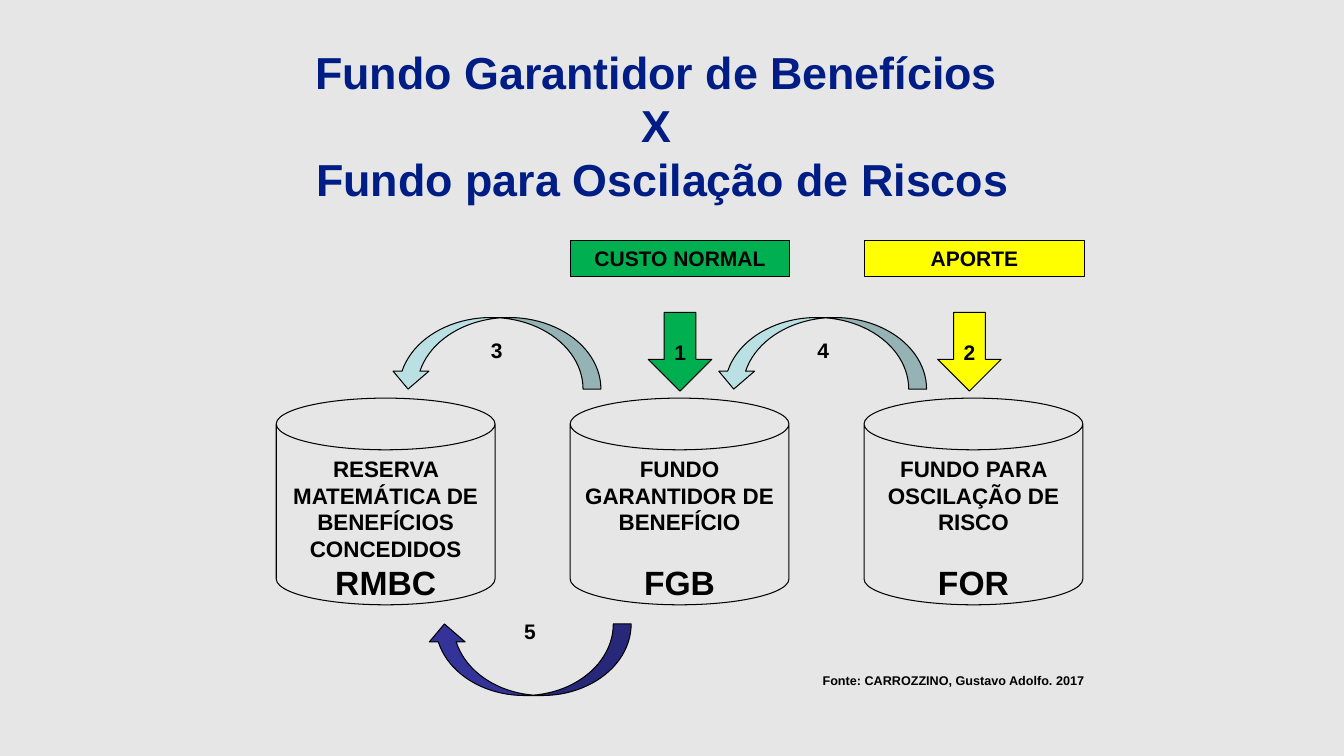
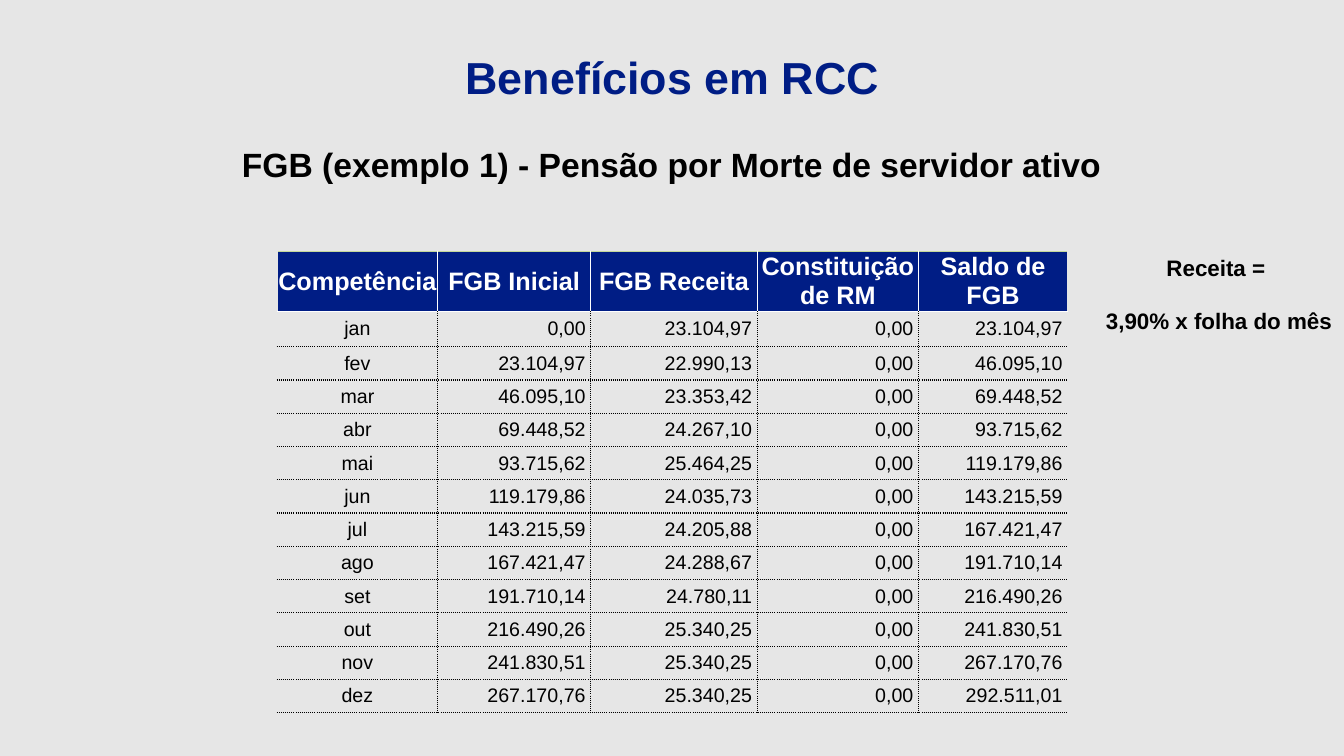
"""Build two slides on pension guarantee funds: a flow diagram and a monthly table."""
from dataclasses import dataclass
from typing import Optional

import lxml.etree
import pptx
import pptx.dml.color
import pptx.enum.shapes
import pptx.enum.text
import pptx.oxml.ns
import pptx.shapes.autoshape
import pptx.slide
import pptx.table
import pptx.text.text
import pptx.util

Inches = pptx.util.Inches
Pt = pptx.util.Pt
RGBColor = pptx.dml.color.RGBColor
Shape = pptx.enum.shapes.MSO_SHAPE
Align = pptx.enum.text.PP_ALIGN
Anchor = pptx.enum.text.MSO_ANCHOR
AutoSize = pptx.enum.text.MSO_AUTO_SIZE

FONT = "Arial"
GREY = RGBColor(0xE6, 0xE6, 0xE6)
NAVY = RGBColor(0x00, 0x1D, 0x85)
BLACK = RGBColor(0x00, 0x00, 0x00)
WHITE = RGBColor(0xFF, 0xFF, 0xFF)
GREEN = RGBColor(0x00, 0xB0, 0x50)
YELLOW = RGBColor(0xFF, 0xFF, 0x00)
PALE_TEAL = RGBColor(0xBB, 0xE0, 0xE3)
INDIGO = RGBColor(0x33, 0x33, 0x99)
LIME = RGBColor(0xC4, 0xD7, 0x9B)

BLANK_LAYOUT = 6
PLAIN_TABLE_STYLE = "{2D5ABB26-0587-4C30-8999-92F81FD0307C}"
FUND_LEFT, FUND_STEP, FUND_WIDTH = 2.74, 2.915, 2.17


@dataclass(frozen=True)
class Area:
    """A rectangle on the slide, in inches."""
    left: float
    top: float
    width: float
    height: float

    def lengths(self) -> tuple[pptx.util.Length, ...]:
        """Return the four sides as lengths."""
        return tuple(Inches(side) for side in (self.left, self.top, self.width, self.height))


@dataclass(frozen=True)
class Line:
    """A paragraph of bold centred text."""
    text: str
    size: float
    color: RGBColor = BLACK
    gap: float = 0


@dataclass(frozen=True)
class Fund:
    """A cylinder with its name and initials."""
    name: str
    initials: str
    gap: float = 0


@dataclass(frozen=True)
class Figure:
    """A filled and outlined preset shape."""
    kind: Shape
    area: Area
    fill: Optional[RGBColor] = None
    lines: tuple[Line, ...] = ()
    flipped: bool = False
    rotation: float = 0


@dataclass(frozen=True)
class Border:
    """One side of a table cell."""
    color: RGBColor
    width: float
    dash: str = "solid"


OUTER = Border(GREY, 1)
DOTTED = Border(BLACK, 1, "sysDot")
HEADER_EDGE = Border(WHITE, 0.5)
HEADER_TOP = Border(LIME, 0.5)

FUNDS = (
    Fund("RESERVA MATEMÁTICA DE BENEFÍCIOS CONCEDIDOS", "RMBC"),
    Fund("FUNDO GARANTIDOR DE BENEFÍCIO", "FGB", 19),
    Fund("FUNDO PARA OSCILAÇÃO DE RISCO", "FOR", 19),
)
FIGURES = (
    Figure(Shape.RECTANGLE, Area(5.66, 2.39, 2.17, 0.35), GREEN, (Line("CUSTO NORMAL", 15),)),
    Figure(Shape.RECTANGLE, Area(8.57, 2.39, 2.19, 0.35), YELLOW, (Line("APORTE", 15),)),
    Figure(Shape.DOWN_ARROW, Area(6.43, 3.1, 0.63, 0.78), GREEN),
    Figure(Shape.DOWN_ARROW, Area(9.3, 3.1, 0.63, 0.78), YELLOW),
    Figure(Shape.CURVED_DOWN_ARROW, Area(3.87, 3.15, 2.09, 0.71), PALE_TEAL, flipped=True),
    Figure(Shape.CURVED_DOWN_ARROW, Area(7.1, 3.15, 2.09, 0.71), PALE_TEAL, flipped=True),
    Figure(Shape.CURVED_DOWN_ARROW, Area(4.23, 6.19, 2.03, 0.71), INDIGO, rotation=180),
)
STEPS = (
    ("1", Area(6.59, 3.32, 0.31, 0.35)),
    ("2", Area(9.46, 3.32, 0.31, 0.35)),
    ("3", Area(4.77, 3.3, 0.31, 0.35)),
    ("4", Area(7.99, 3.3, 0.35, 0.35)),
    ("5", Area(5.1, 6.09, 0.31, 0.35)),
)

HEADERS = ("Competência", "FGB Inicial", "FGB Receita", "Constituição de RM", "Saldo de FGB")
COLUMN_WIDTHS = (1.59, 1.52, 1.65, 1.6, 1.48)
ROW_HEIGHTS = (0.6, 0.35) + (0.33,) * 11
MONTHS = (
    ("jan", "23.104,97", "23.104,97"),
    ("fev", "22.990,13", "46.095,10"),
    ("mar", "23.353,42", "69.448,52"),
    ("abr", "24.267,10", "93.715,62"),
    ("mai", "25.464,25", "119.179,86"),
    ("jun", "24.035,73", "143.215,59"),
    ("jul", "24.205,88", "167.421,47"),
    ("ago", "24.288,67", "191.710,14"),
    ("set", "24.780,11", "216.490,26"),
    ("out", "25.340,25", "241.830,51"),
    ("nov", "25.340,25", "267.170,76"),
    ("dez", "25.340,25", "292.511,01"),
)


def style_paragraph(para: pptx.text.text._Paragraph, size: float, color: RGBColor,
                    bold: bool, align: Align) -> None:
    """Set the font and alignment of a paragraph."""
    para.alignment = align
    para.font.name = FONT
    para.font.size = Pt(size)
    para.font.bold = bold
    para.font.color.rgb = color


def write_lines(frame: pptx.text.text.TextFrame, lines: tuple[Line, ...]) -> None:
    """Fill a text frame with one paragraph per line."""
    for index, line in enumerate(lines):
        para = frame.add_paragraph() if index else frame.paragraphs[0]
        para.text = line.text
        para.space_before = Pt(line.gap)
        style_paragraph(para, line.size, line.color, True, Align.CENTER)


def add_text(page: pptx.slide.Slide, area: Area, *lines: Line, wrap: bool = True) -> None:
    """Add a text box without side insets."""
    frame = page.shapes.add_textbox(*area.lengths()).text_frame
    frame.word_wrap = wrap
    frame.auto_size = AutoSize.SHAPE_TO_FIT_TEXT
    frame.margin_left = frame.margin_right = 0
    write_lines(frame, lines)


def add_title(page: pptx.slide.Slide, area: Area, *texts: str) -> None:
    """Add the slide title in the shared style."""
    add_text(page, area, *(Line(text, 32, NAVY) for text in texts))


def add_figure(page: pptx.slide.Slide, figure: Figure) -> None:
    """Draw a preset shape with its thin black outline."""
    shape = page.shapes.add_shape(figure.kind, *figure.area.lengths())
    shape.shadow.inherit = False
    shape.rotation = figure.rotation
    shape.line.color.rgb = BLACK
    shape.line.width = Pt(0.75)
    if figure.fill is None:
        shape.fill.background()
    else:
        shape.fill.solid()
        shape.fill.fore_color.rgb = figure.fill
    if figure.flipped:
        shape._element.spPr.find(pptx.oxml.ns.qn("a:xfrm")).set("flipH", "1")
    if figure.lines:
        shape.text_frame.word_wrap = True
        shape.text_frame.vertical_anchor = Anchor.TOP
        write_lines(shape.text_frame, figure.lines)


def set_borders(cell: pptx.table._Cell, left: Border, right: Border,
                top: Border, bottom: Border) -> None:
    """Set the four borders of a table cell."""
    qn = pptx.oxml.ns.qn
    properties = cell._tc.get_or_add_tcPr()
    sides = zip(("a:lnL", "a:lnR", "a:lnT", "a:lnB"), (left, right, top, bottom))
    for index, (tag, border) in enumerate(sides):
        edge = lxml.etree.Element(qn(tag), w=str(Pt(border.width)))
        fill = lxml.etree.SubElement(edge, qn("a:solidFill"))
        lxml.etree.SubElement(fill, qn("a:srgbClr"), val=str(border.color))
        lxml.etree.SubElement(edge, qn("a:prstDash"), val=border.dash)
        properties.insert(index, edge)


def fill_cell(cell: pptx.table._Cell, text: str, row: int, column: int) -> None:
    """Write and style one cell of the balance table."""
    header = row == 0
    number = not header and column > 0
    cell.text = text
    cell.vertical_anchor = Anchor.MIDDLE
    cell.margin_left = cell.margin_top = cell.margin_bottom = 0
    cell.margin_right = Inches(0.05 if number else 0)
    if header:
        cell.fill.solid()
        cell.fill.fore_color.rgb = NAVY
    else:
        cell.fill.background()
    style_paragraph(cell.text_frame.paragraphs[0], 18 if header else 14,
                    WHITE if header else BLACK, header, Align.RIGHT if number else Align.CENTER)
    inner = HEADER_EDGE if header else DOTTED
    set_borders(
        cell,
        left=OUTER if column == 0 else inner,
        right=OUTER if column == len(HEADERS) - 1 else inner,
        top=HEADER_TOP if header else HEADER_EDGE if row == 1 else DOTTED,
        bottom=inner,
    )


def add_balance_table(page: pptx.slide.Slide) -> None:
    """Add the table, each month opening with the balance of the month before."""
    rows = [HEADERS]
    opening = "0,00"
    for month, income, balance in MONTHS:
        rows.append((month, opening, income, "0,00", balance))
        opening = balance
    area = Area(2.75, 2.49, sum(COLUMN_WIDTHS), sum(ROW_HEIGHTS))
    frame = page.shapes.add_table(len(rows), len(HEADERS), *area.lengths())
    table = frame.table
    table.horz_banding = False
    table._tbl.tblPr.find(pptx.oxml.ns.qn("a:tableStyleId")).text = PLAIN_TABLE_STYLE
    for column, width in zip(table.columns, COLUMN_WIDTHS):
        column.width = Inches(width)
    for row, height in zip(table.rows, ROW_HEIGHTS):
        row.height = Inches(height)
    for row_index, texts in enumerate(rows):
        for column_index, text in enumerate(texts):
            fill_cell(table.cell(row_index, column_index), text, row_index, column_index)


def build_fund_slide(page: pptx.slide.Slide) -> None:
    """Draw the funds and the flows between them."""
    for index, fund in enumerate(FUNDS):
        area = Area(FUND_LEFT + index * FUND_STEP, 3.95, FUND_WIDTH, 2.05)
        lines = (Line(fund.name, 16), Line(fund.initials, 24, gap=fund.gap))
        add_figure(page, Figure(Shape.CAN, area, lines=lines))
    for figure in FIGURES:
        add_figure(page, figure)
    for number, area in STEPS:
        add_text(page, area, Line(number, 15))
    add_title(page, Area(2.41, 0.39, 8.33, 1.72), "Fundo Garantidor de Benefícios ", "X ",
              "Fundo para Oscilação de Riscos")
    add_text(page, Area(7.73, 6.63, 3.45, 0.25),
             Line("Fonte: CARROZZINO, Gustavo Adolfo. 2017", 9))


def build_table_slide(page: pptx.slide.Slide) -> None:
    """Show the monthly balance of the guarantee fund."""
    add_title(page, Area(2.15, 0.44, 9.04, 0.64), "Benefícios em RCC")
    add_text(page, Area(2.17, 1.38, 8.98, 0.5),
             Line("FGB (exemplo 1) - Pensão por Morte de servidor ativo", 24))
    add_balance_table(page)
    add_text(page, Area(10.89, 2.47, 2.4, 0.91), Line("Receita = ", 16),
             Line("3,90% x folha do mês", 16, gap=19), wrap=False)


def main() -> None:
    """Build and save the deck."""
    deck = pptx.Presentation()
    deck.slide_width = Inches(13.33)
    deck.slide_height = Inches(7.5)
    background = deck.slide_master.background.fill
    background.solid()
    background.fore_color.rgb = GREY
    for build in (build_fund_slide, build_table_slide):
        build(deck.slides.add_slide(deck.slide_layouts[BLANK_LAYOUT]))
    deck.save("out.pptx")


if __name__ == "__main__":
    main()
